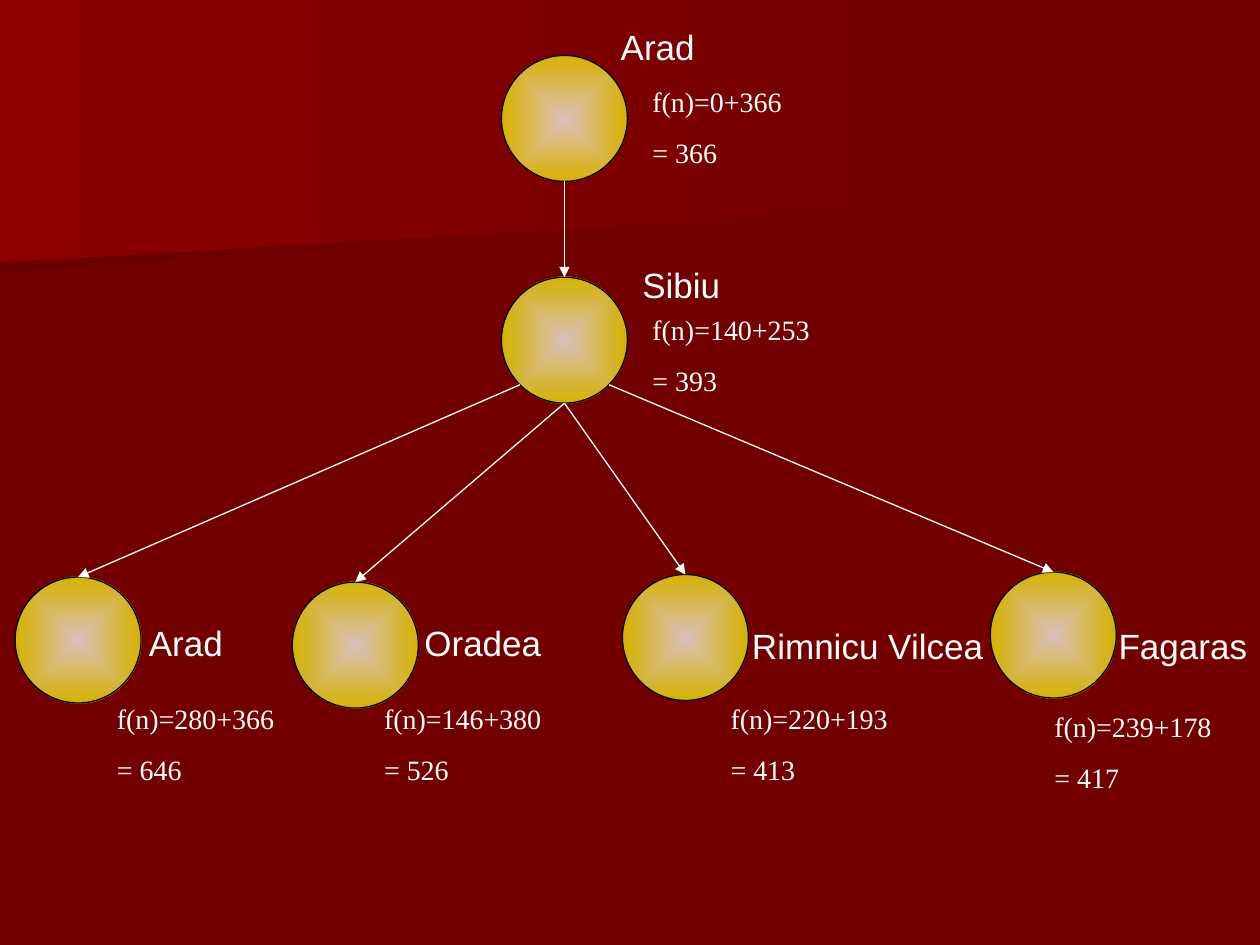
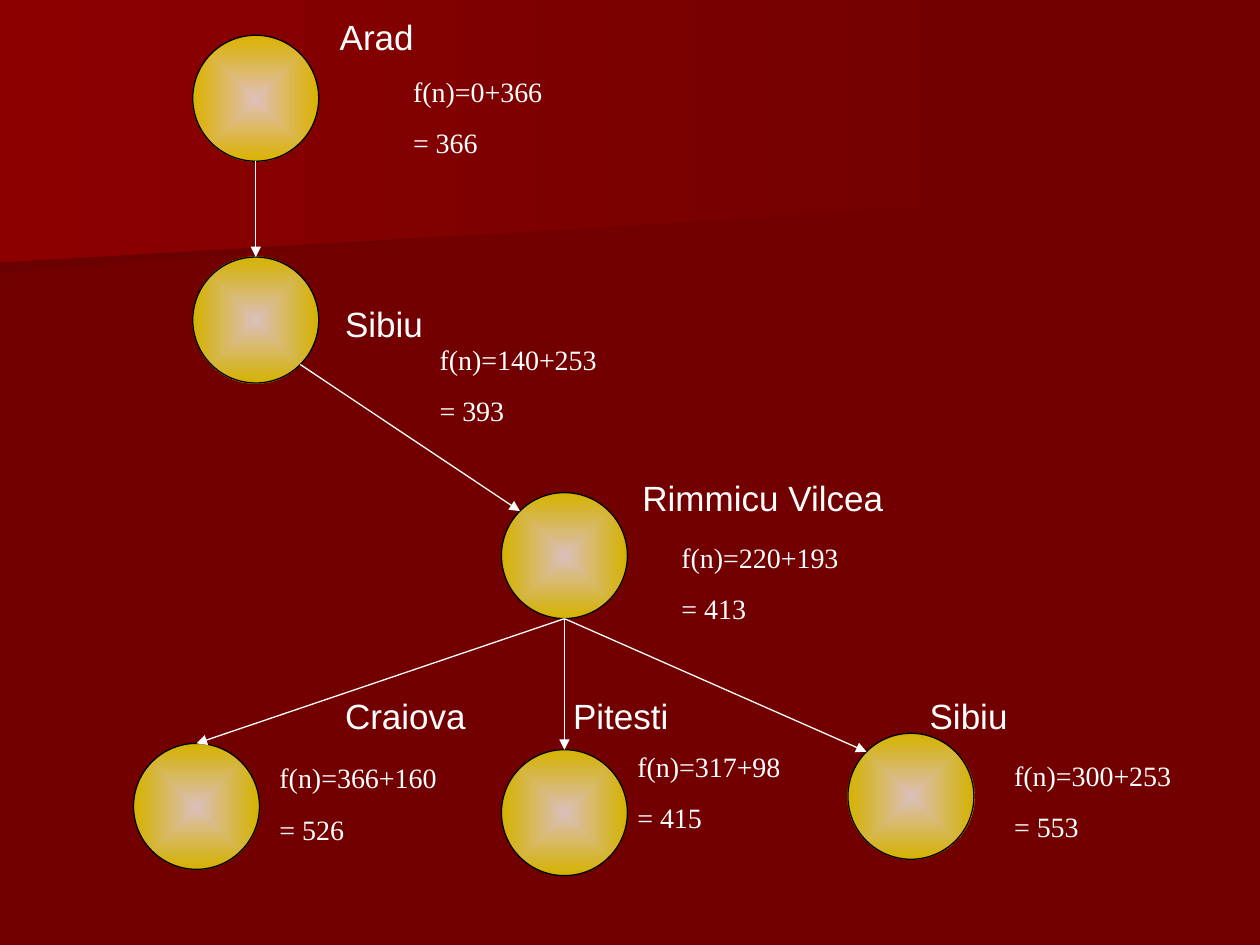
import math
import pptx
import pptx.util
import pptx.oxml
import pptx.dml.color
import pptx.enum.shapes
import pptx.enum.text
import pptx.oxml.ns
from lxml import etree

Inches, Pt = pptx.util.Inches, pptx.util.Pt
RGB = pptx.dml.color.RGBColor
RED = RGB(0x72, 0x00, 0x00)
DARK = RGB(0x6A, 0x00, 0x00)
LIGHT = RGB(0x8C, 0x00, 0x00)
WHITE = RGB(0xFF, 0xFF, 0xFF)
GOLD = RGB(0xFF, 0xFF, 0x00)
BLACK = RGB(0x00, 0x00, 0x00)

LINEAR = '<a:lin ang="10800000" scaled="0"/>'
RADIAL = ('<a:path path="rect"><a:fillToRect l="50000" t="50000" '
          'r="50000" b="50000"/></a:path>')
SIZE = 1  # circle diameter
LEFT = pptx.enum.text.PP_ALIGN.LEFT
MID = pptx.enum.text.PP_ALIGN.CENTER

# Angles on a circle, clockwise from the right
EAST, SOUTH, WEST, NORTH = 45, 90, 135, 270
NW = 225

# Bands: end colour, outline
BANDS = [
    (DARK, [(7.78, 1.53), (0, 2.17), (0, 1.01), (7.79, 1.01), (7.78, 1.28)]),
    (LIGHT, [(7.92, 1.62), (0, 2.08), (0, 0), (7.92, 0)]),
]

# Nodes: circle corner, name with its box, cost lines with their box
# Links: from node, angle, to node, angle
TREES = [
    ([((3.98, 0.44), "Arad", (4.76, 0.13, 0.92), "f(n)=0+366", "= 366", (5.08, 0.6, 1.67)),
      ((3.98, 2.2), "Sibiu", (5, 2.02, 0.83), "f(n)=140+253", "= 393", (5.08, 2.41, 1.51)),
      ((0.12, 4.58), "Arad", (1.06, 4.86, 0.83), "f(n)=280+366", "= 646", (0.83, 5.5, 1.5)),
      ((2.32, 4.62), "Oradea", (3.27, 4.86, 1.17), "f(n)=146+380", "= 526", (2.95, 5.5, 1.5)),
      ((4.94, 4.56), "Rimnicu Vilcea", (5.87, 4.89, 2.06), "f(n)=220+193", "= 413", (5.7, 5.5, 1.5)),
      ((7.86, 4.54), "Fagaras", (8.78, 4.89, 1.26), "f(n)=239+178", "= 417", (8.27, 5.56, 1.54))],
     [(0, SOUTH, 1, NORTH), (1, WEST, 2, NORTH), (1, SOUTH, 3, NORTH),
      (1, SOUTH, 4, NORTH), (1, EAST, 5, NORTH)]),
    ([((1.53, 0.28), "Arad", (2.53, 0.05, 0.92), "f(n)=0+366", "= 366", (3.18, 0.52, 1.67)),
      ((1.53, 2.04), "Sibiu", (2.64, 2.33, 0.83), "f(n)=140+253", "= 393", (3.39, 2.65, 1.51)),
      ((3.98, 3.91), "Rimmicu Vilcea", (5, 3.71, 2.28), "f(n)=220+193", "= 413", (5.31, 4.22, 1.54)),
      ((1.06, 5.9), "Craiova", (2.64, 5.44, 1.26), "f(n)=366+160", "= 526", (2.12, 5.97, 1.54)),
      ((3.98, 5.95), "Pitesti", (4.45, 5.44, 1.1), "f(n)=317+98", "= 415", (4.96, 5.88, 1.54)),
      ((6.73, 5.82), "Sibiu", (7.28, 5.44, 0.94), "f(n)=300+253", "= 553", (7.95, 5.95, 1.54))],
     [(0, SOUTH, 1, NORTH), (1, EAST, 2, NW), (2, SOUTH, 3, NORTH),
      (2, SOUTH, 4, NORTH), (2, SOUTH, 5, NW)]),
]


def shade(shape, stops, kind):
    """Fill with a gradient; stops are (colour, opacity in percent)."""
    marks = "".join(
        f'<a:gs pos="{i * 100000}"><a:srgbClr val="{color}">'
        f'<a:alpha val="{alpha * 1000}"/></a:srgbClr></a:gs>'
        for i, (color, alpha) in enumerate(stops))
    shape.shadow.inherit = False
    shape.fill.solid()
    old = shape.fill._xPr.find(pptx.oxml.ns.qn("a:solidFill"))
    old.getparent().replace(old, pptx.oxml.parse_xml(
        f'<a:gradFill {pptx.oxml.ns.nsdecls("a")} rotWithShape="1">'
        f'<a:gsLst>{marks}</a:gsLst>{kind}</a:gradFill>'))


def write(slide, box, high, lines, font, size, align=LEFT):
    """Add a text box with one paragraph for each line."""
    x, y, wide = box
    frame = slide.shapes.add_textbox(
        Inches(x), Inches(y), Inches(wide), Inches(high)).text_frame
    frame.word_wrap = True
    frame.margin_top = Inches(0.07)
    frame.margin_bottom = Inches(0.03)
    frame.text = "\n".join(lines)
    for i, para in enumerate(frame.paragraphs):
        para.alignment = align
        para.font.name = font
        para.font.size = Pt(size)
        para.font.color.rgb = WHITE
        if i:
            para.space_before = Pt(10)


deck = pptx.Presentation()
deck.slide_width, deck.slide_height = Inches(10), Inches(7.5)

# Shared background
back = deck.slide_master.background.fill
back.solid()
back.fore_color.rgb = RED

for nodes, links in TREES:
    slide = deck.slides.add_slide(deck.slide_layouts[6])

    # Bands at the top
    for color, points in BANDS:
        spots = [(Inches(x), Inches(y)) for x, y in points]
        pen = slide.shapes.build_freeform(*spots[0])
        pen.add_line_segments(spots[1:], close=True)
        band = pen.convert_to_shape()
        shade(band, [(RED, 100), (color, 100)], LINEAR)
        band.line.fill.background()

    # Circles
    for (x, y), *rest in nodes:
        disc = slide.shapes.add_shape(
            pptx.enum.shapes.MSO_SHAPE.OVAL,
            Inches(x), Inches(y), Inches(SIZE), Inches(SIZE))
        shade(disc, [(WHITE, 75), (GOLD, 70)], RADIAL)
        disc.line.color.rgb = BLACK
        disc.line.width = Pt(0.75)

    # Arrows from rim to rim
    for start, out, end, into in links:
        ends = []
        for node, angle in ((start, out), (end, into)):
            x, y = nodes[node][0]
            turn = math.radians(angle)
            ends += [Inches(x + SIZE / 2 * (1 + math.cos(turn))),
                     Inches(y + SIZE / 2 * (1 + math.sin(turn)))]
        arrow = slide.shapes.add_connector(
            pptx.enum.shapes.MSO_CONNECTOR.STRAIGHT, *ends)
        arrow.line.color.rgb = WHITE
        arrow.line.width = Pt(0.75)
        etree.SubElement(arrow.line._get_or_add_ln(),
                         pptx.oxml.ns.qn("a:tailEnd"), type="triangle")
        etree.SubElement(arrow._element.spPr, pptx.oxml.ns.qn("a:effectLst"))

    # Names and costs
    for spot, name, box, cost, total, area in nodes:
        write(slide, box, 0.44, [name], "Arial", 20,
              MID if name == "Arad" else LEFT)
        write(slide, area, 0.77, [cost, total], "Times New Roman", 16)

deck.save("out.pptx")
